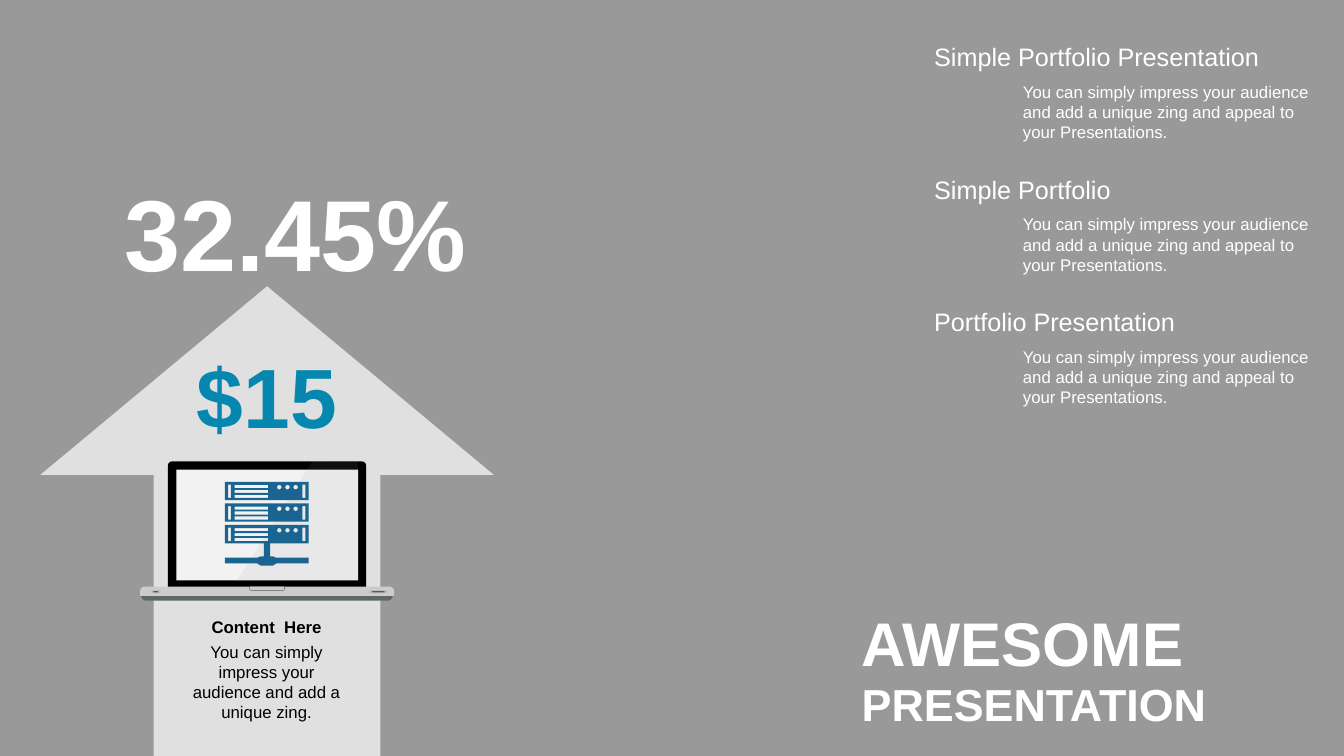
"""Build the portfolio slide with a rising arrow, a laptop and three notes."""
from math import cos, pi, sin

from lxml.etree import SubElement
from pptx import Presentation
from pptx.dml.color import RGBColor as Rgb
from pptx.enum.shapes import MSO_SHAPE as Kind
from pptx.enum.text import MSO_ANCHOR as Anchor, MSO_AUTO_SIZE as Fit, PP_ALIGN as Align
from pptx.oxml.ns import qn
from pptx.util import Pt

HUES = {
    "white": "FFFFFF", "black": "000000", "teal": "0587AF", "blue": "196491",
    "base": "CCCCCC", "foot": "5F6767", "glass": "F2F2F2", "notch": "4D4D4D",
    "port": "BFBFBF", "slot": "595959", "glare": "999999",
}

deck = Presentation()
deck.slide_width, deck.slide_height = Pt(960), Pt(540)
slide = deck.slides.add_slide(deck.slide_layouts[6])
shapes = slide.shapes


def paint(shape, hue, alpha=100):
    shape.shadow.inherit = False
    shape.line.fill.background()
    shape.fill.solid()
    shape.fill.fore_color.rgb = Rgb.from_string(HUES[hue])
    if alpha < 100:
        tint = shape.fill._xPr.find(qn("a:solidFill"))[0]
        SubElement(tint, qn("a:alpha")).set("val", str(alpha * 1000))


def write(words, area, size, hue="white", bold=False, align=Align.LEFT,
          anchor=Anchor.TOP, space=1.0):
    frame = shapes.add_textbox(*map(Pt, area)).text_frame
    frame.word_wrap = True
    frame.auto_size = Fit.SHAPE_TO_FIT_TEXT
    frame.vertical_anchor = anchor
    para = frame.paragraphs[0]
    para.alignment = align
    para.line_spacing = space
    run = para.add_run()
    run.text = words
    run.font.name = "Arial"
    run.font.size = Pt(size)
    run.font.bold = bold
    run.font.color.rgb = Rgb.from_string(HUES[hue])


parts = [
    (Kind.RECTANGLE, (0, 0, 960, 540), "black", 40, []),
    (Kind.UP_ARROW, (28.8, 204.5, 324, 335.5), "white", 70, [0.5, 0.416]),
    (Kind.ROUND_2_SAME_RECTANGLE, (101, 422.8, 179.5, 6.2), "foot", 100, [0, 0.5]),
    (Kind.ROUNDED_RECTANGLE, (120, 329.6, 141.5, 92.4), "black", 100, [0.03]),
    (Kind.RECTANGLE, (126, 335.5, 129.8, 79), "glass", 100, []),
    (Kind.ROUND_2_SAME_RECTANGLE, (100, 419, 181.5, 6.6), "base", 100, [0.5, 0.1]),
    (Kind.ROUND_2_SAME_RECTANGLE, (178.2, 419, 25.2, 2.9), "notch", 100, [0, 0.5]),
    (Kind.ROUND_2_SAME_RECTANGLE, (178.5, 419, 24.6, 2.6), "base", 100, [0, 0.5]),
    (Kind.ROUNDED_RECTANGLE, (108, 421.6, 6.5, 2.2), "port", 100, [0.28]),
    (Kind.ROUNDED_RECTANGLE, (109.4, 422.3, 3.7, 0.9), "slot", 100, [0.28]),
    (Kind.ROUNDED_RECTANGLE, (263.5, 421.6, 13.7, 2.2), "port", 100, [0.28]),
    (Kind.ROUNDED_RECTANGLE, (265.7, 422.3, 9, 0.9), "slot", 100, [0.28]),
]
for kind, area, hue, alpha, bends in parts:
    part = shapes.add_shape(kind, *map(Pt, area))
    for i, bend in enumerate(bends):
        part.adjustments[i] = bend
    paint(part, hue, alpha)

glare = [[(223.2, 329.3), (255.6, 329.8), (255.6, 414.7), (169.2, 414.7)]]
rack = [[
    (188.6, 388), (193, 388), (193, 397.4), (195, 397.4), (197.3, 398.4),
    (220.4, 398.4), (220.4, 402.5), (197.3, 402.5), (195, 404), (186.2, 404),
    (183.8, 402.5), (160.6, 402.5), (160.6, 398.4), (183.8, 398.4),
    (186.2, 397.4), (188.6, 397.4),
]]
for row in range(3):
    top = 344.2 + 15.4 * row
    bars = [(160.6, top, 59.8, 13.1)]
    bars += [(x, top + 1.9, 2.1, 9.6) for x in (162.9, 216)]
    bars += [(167.7, top + 2.2 + 3.55 * i, 23.8, 2.2) for i in range(3)]
    rack += [[(x, y), (x + w, y), (x + w, y + h), (x, y + h)] for x, y, w, h in bars]
    for i in range(3):
        mid = 199.5 + 5.85 * i
        turns = [2 * pi * n / 16 for n in range(16)]
        rack.append([(mid + 1.6 * cos(t), top + 3.8 + 1.6 * sin(t)) for t in turns])

for rings, hue, alpha in [(glare, "glare", 10), (rack, "blue", 100)]:
    pen = shapes.build_freeform(*map(Pt, rings[0][0]), scale=1.0)
    for ring in rings:
        dots = [(Pt(x), Pt(y)) for x, y in ring]
        if ring is not rings[0]:
            pen.move_to(*dots[0])
        pen.add_line_segments(dots[1:], close=True)
    paint(pen.convert_to_shape(), hue, alpha)

write("$15", (90, 242.6, 201.6, 80), 60, "teal", True, Align.CENTER)
write("32.45%", (59, 118.1, 303.8, 94.3), 72, "white", True, Align.CENTER)
write("Content  Here", (125.3, 437, 130.3, 21.6), 12, "black", True, Align.CENTER)
write("You can simply impress your audience and add a unique zing.",
      (125.3, 454.5, 130.3, 65.5), 12, "black", False, Align.CENTER)

heads = ["Simple Portfolio Presentation", "Simple Portfolio", "Portfolio Presentation"]
for i, head in enumerate(heads):
    drop = 94.7 * i
    write(head, (660.2, 30.2 + drop, 293.8, 24.5), 18, space=0.8)
    write("You can simply impress your audience and add a unique zing and appeal to "
          "your Presentations.", (723.6, 54.7 + drop, 230.4, 51.1), 12)

for words, top, high, size in [("AWESOME", 428.4, 60.5, 44), ("PRESENTATION", 479.5, 46.1, 32)]:
    write(words, (608.4, top, 330.5, high), size, "white", True, Align.JUSTIFY, Anchor.MIDDLE)

deck.save("out.pptx")
